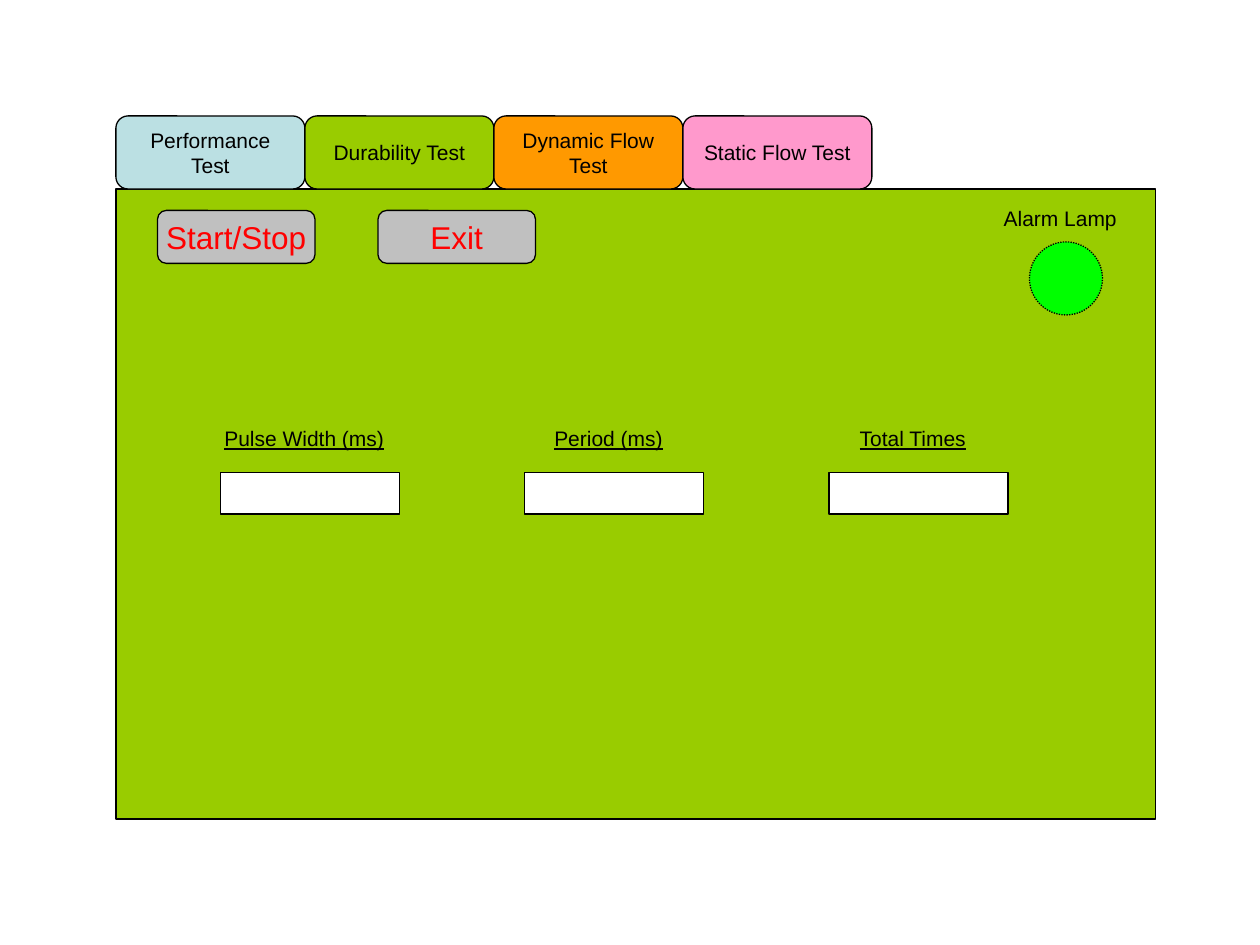
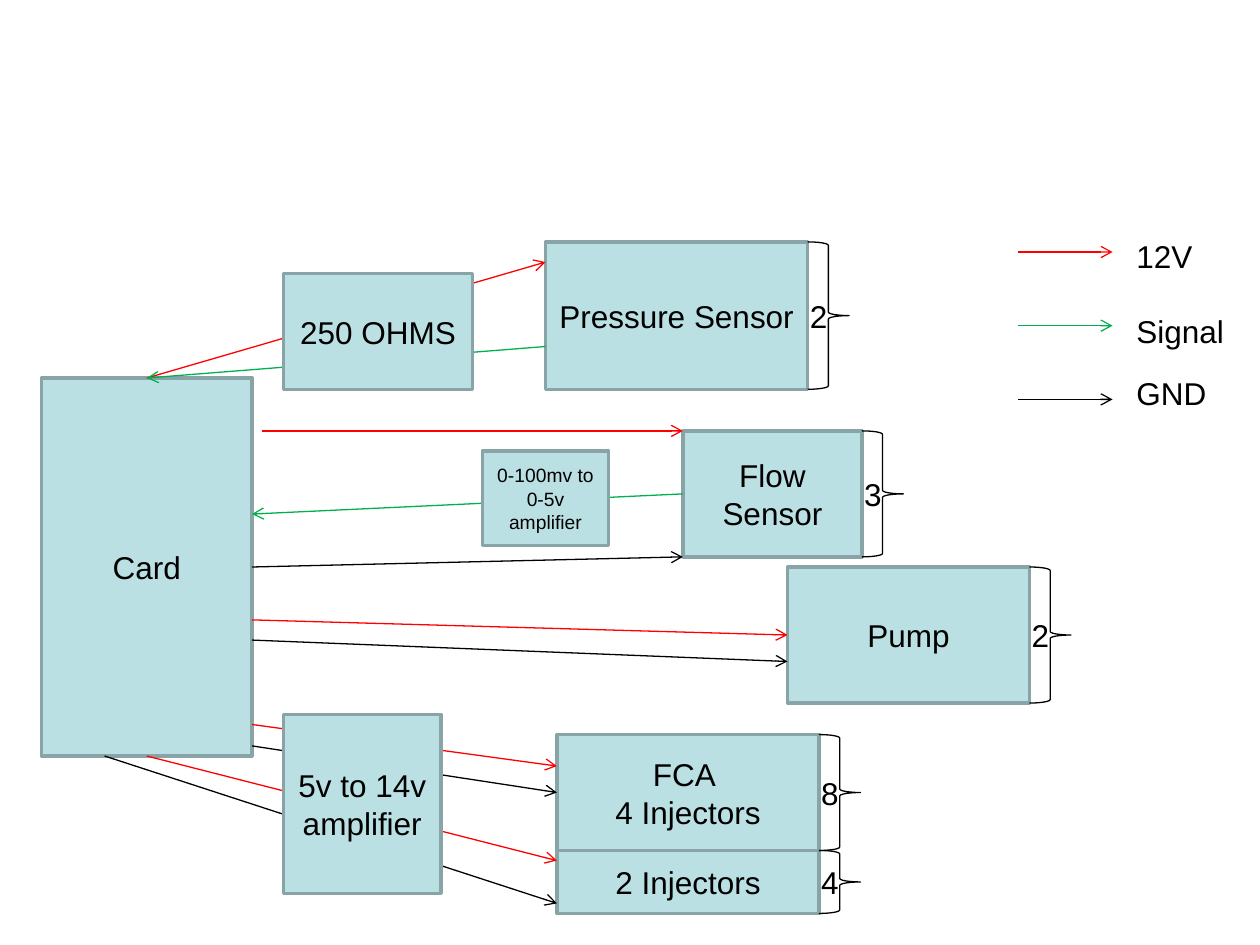
import pptx
import pptx.util
import pptx.dml.color
import pptx.enum.dml
import pptx.enum.shapes
import pptx.enum.text
import pptx.oxml.ns
from lxml import etree

Inches = pptx.util.Inches
Pt = pptx.util.Pt
hue = pptx.dml.color.RGBColor.from_string
qn = pptx.oxml.ns.qn
KIND = pptx.enum.shapes.MSO_SHAPE
ALIGN = pptx.enum.text.PP_ALIGN
MIDDLE = pptx.enum.text.MSO_ANCHOR.MIDDLE
GROW = pptx.enum.text.MSO_AUTO_SIZE.SHAPE_TO_FIT_TEXT

BLACK, RED, GREEN = "000000", "FF0000", "00B050"
LIME, PALE, EDGE = "99CC00", "BBE0E3", "89A4A7"


def write(shape, text, size=18, ink=BLACK, align=ALIGN.CENTER, wrap=True, under=None, before=None, fit=None):
    frame = shape.text_frame
    frame.word_wrap = wrap
    frame.auto_size = fit
    for i, words in enumerate(text.split("\n")):
        para = frame.add_paragraph() if i else frame.paragraphs[0]
        para.alignment = align
        if before:
            para.space_before = Pt(before)
        run = para.add_run()
        run.text = words
        run.font.name = "Arial"
        run.font.size = Pt(size)
        run.font.color.rgb = hue(ink)
        run.font.underline = under


def draw(shapes, kind, place, fill=None, edge=BLACK, width=0.75):
    shape = shapes.add_shape(kind, *map(Inches, place))
    shape.shadow.inherit = False
    if fill:
        shape.fill.solid()
        shape.fill.fore_color.rgb = hue(fill)
    else:
        shape.fill.background()
    shape.line.color.rgb = hue(edge)
    shape.line.width = Pt(width)
    shape.text_frame.vertical_anchor = MIDDLE
    return shape


deck = pptx.Presentation()
deck.slide_width, deck.slide_height = Inches(10), Inches(7.5)
blank = deck.slide_layouts[6]

panel = deck.slides.add_slide(blank).shapes
draw(panel, KIND.FLOWCHART_PROCESS, (0.92, 1.5, 8.25, 5), LIME)

tabs = [("Performance Test", PALE), ("Durability Test", LIME),
        ("Dynamic Flow Test", "FF9900"), ("Static Flow Test", "FF99CC")]
for i, (name, fill) in enumerate(tabs):
    tab = draw(panel, KIND.FLOWCHART_ALTERNATE_PROCESS, (0.92 + 1.5 * i, 0.92, 1.5, 0.58), fill)
    write(tab, name, 12)

lamp = draw(panel, KIND.FLOWCHART_CONNECTOR, (8.17, 1.92, 0.58, 0.58), "00FF00")
lamp.line.dash_style = pptx.enum.dml.MSO_LINE.ROUND_DOT

for i, name in enumerate(["Start/Stop", "Exit"]):
    button = draw(panel, KIND.ROUNDED_RECTANGLE, (1.25 + 1.75 * i, 1.67, 1.25, 0.42), "C0C0C0")
    write(button, name, ink=RED, wrap=False)

label = panel.add_textbox(Inches(7.75), Inches(1.58), Inches(1.33), Inches(0.3))
write(label, "Alarm Lamp", 12, before=7.5, fit=GROW)

for i, name in enumerate(["Pulse Width (ms)", "Period (ms)", "Total Times"]):
    left = 1.75 + 2.415 * i
    field = panel.add_group_shape().shapes
    draw(field, KIND.RECTANGLE, (left, 3.75, 1.42, 0.33), "FFFFFF")
    label = field.add_textbox(Inches(left - 0.17), Inches(3.33), Inches(1.67), Inches(0.3))
    write(label, name, 12, under=True, before=7.5, fit=GROW)

wiring = deck.slides.add_slide(blank).shapes
parts = [
    ("Card", (0.33, 3, 1.67, 3), None),
    ("Pressure Sensor", (4.33, 1.92, 2.08, 1.17), "2"),
    ("Flow Sensor", (5.42, 3.42, 1.42, 1), "3"),
    ("Pump", (6.25, 4.5, 1.92, 1.08), "2"),
    ("FCA \n4 Injectors", (4.42, 5.83, 2.08, 0.92), "8"),
    ("2 Injectors", (4.42, 6.75, 2.08, 0.5), "4"),
]
boxes = []
for name, place, count in parts:
    box = draw(wiring, KIND.RECTANGLE, place, PALE, EDGE, 2)
    write(box, name)
    boxes.append(box)
card, gauge, flow, pump, fca, pair = boxes

links = [
    (RED, (1.17, 3, 4.33, 2.08), (card, 0), None),
    (GREEN, (4.33, 2.75, 1.17, 3), None, (card, 0)),
    (RED, (2.08, 3.42, 5.42, 3.42), None, None),
    (GREEN, (5.42, 3.92, 2, 4.08), (flow, 1), None),
    (BLACK, (2, 4.5, 5.42, 4.42), (card, 3), None),
    (RED, (2, 4.92, 6.25, 5.04), None, (pump, 1)),
    (BLACK, (2, 5.08, 6.25, 5.25), None, None),
    (RED, (2, 5.75, 4.42, 6.08), None, None),
    (BLACK, (2, 5.92, 4.42, 6.29), None, (fca, 1)),
    (BLACK, (0.83, 6, 4.42, 7.17), None, None),
    (RED, (1.17, 6, 4.42, 6.83), (card, 2), None),
]
legend = [("12V", RED, 1.83, 0.66), ("Signal", GREEN, 2.43, 0.92), ("GND", BLACK, 2.92, 0.78)]
for i, (name, ink, top, width) in enumerate(legend):
    y = 2 + 0.585 * i
    links.append((ink, (8.08, y, 8.83, y), None, None))
    label = wiring.add_textbox(Inches(8.92), Inches(top), Inches(width), Inches(0.4))
    write(label, name, align=ALIGN.LEFT, wrap=False, fit=GROW)

for ink, ends, start, stop in links:
    wire = wiring.add_connector(pptx.enum.shapes.MSO_CONNECTOR.STRAIGHT, *map(Inches, ends))
    if start:
        wire.begin_connect(*start)
    if stop:
        wire.end_connect(*stop)
    wire.line.color.rgb = hue(ink)
    wire.line.width = Pt(0.75)
    props = wire._element.spPr
    etree.SubElement(props.find(qn("a:ln")), qn("a:tailEnd"), type="arrow")
    etree.SubElement(props, qn("a:effectLst"))

for name, (left, top, width, height), count in parts:
    if count:
        brace = draw(wiring, KIND.RIGHT_BRACE, (left + width, top, 0.33, height))
        write(brace, count)

stages = [("0-100mv to 0-5v amplifier", 11, (3.83, 3.58, 1, 0.75)),
          ("5v to 14v amplifier", 18, (2.25, 5.67, 1.25, 1.42)),
          ("250 OHMS", 18, (2.25, 2.17, 1.5, 0.92))]
for name, size, place in stages:
    write(draw(wiring, KIND.RECTANGLE, place, PALE, EDGE, 2), name, size)

deck.save("out.pptx")
